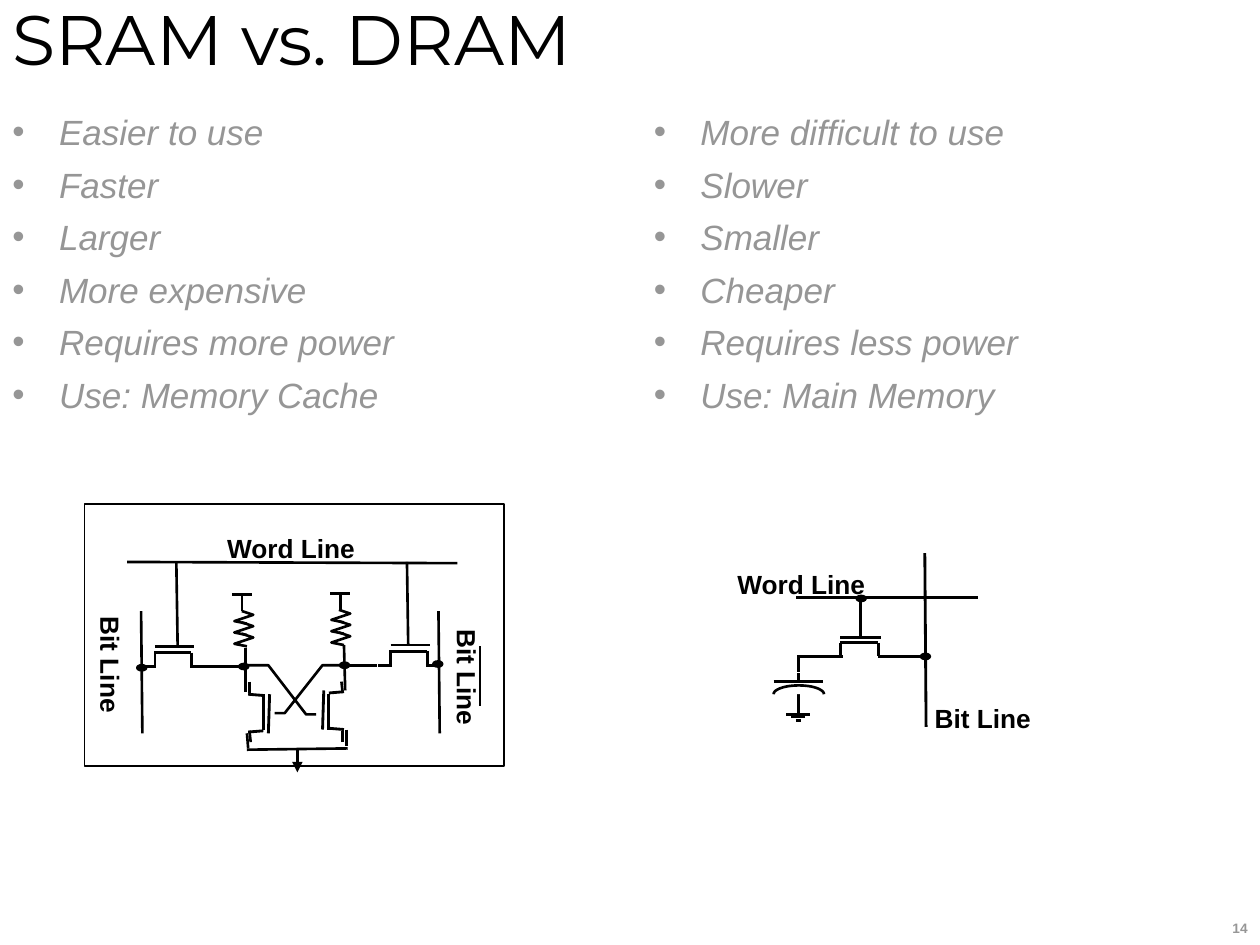
from dataclasses import dataclass
from math import cos, pi, sin

from lxml import etree
from pptx import Presentation
from pptx.dml.color import RGBColor
from pptx.enum.shapes import MSO_CONNECTOR, MSO_SHAPE
from pptx.enum.text import MSO_ANCHOR, MSO_AUTO_SIZE, PP_ALIGN
from pptx.oxml.ns import qn
from pptx.util import Cm, Pt

BLACK = RGBColor(0, 0, 0)
WHITE = RGBColor(255, 255, 255)
GRAY = RGBColor(0x96, 0x96, 0x96)
STRAIGHT = MSO_CONNECTOR.STRAIGHT
RECTANGLE, OVAL = MSO_SHAPE.RECTANGLE, MSO_SHAPE.OVAL
LEFT, CENTER, RIGHT = PP_ALIGN.LEFT, PP_ALIGN.CENTER, PP_ALIGN.RIGHT
TOP, MIDDLE = MSO_ANCHOR.TOP, MSO_ANCHOR.MIDDLE
GROW = MSO_AUTO_SIZE.SHAPE_TO_FIT_TEXT
THIN, WIRE, BAR = 0.75, 1.5, 1.62

Point = tuple[float, float]


@dataclass
class Style:
    size: float
    color: RGBColor
    font: str = "Arial"
    bold: bool = False
    italic: bool = False
    align: PP_ALIGN = LEFT


@dataclass
class Wire:
    x1: float
    y1: float
    x2: float
    y2: float
    width: float = WIRE

    def moved(self, dx: float, dy: float) -> "Wire":
        return Wire(self.x1 + dx, self.y1 + dy, self.x2 + dx, self.y2 + dy, self.width)

    def turned(self, cx: float, cy: float) -> "Wire":
        """Half turn about a centre."""
        return Wire(2 * cx - self.x1, 2 * cy - self.y1,
                    2 * cx - self.x2, 2 * cy - self.y2, self.width)


@dataclass
class Label:
    text: str
    x: float
    y: float
    width: float
    rotation: int = 0


TITLE = Style(40, BLACK, "Montserrat")
BULLET = Style(20, GRAY, italic=True)
LABEL = Style(15, BLACK, bold=True, align=CENTER)
NUMBER = Style(7.8, GRAY, bold=True, align=RIGHT)

LISTS = {
    0: ["Easier to use", "Faster", "Larger", "More expensive",
        "Requires more power", "Use: Memory Cache"],
    5.09: ["More difficult to use", "Slower", "Smaller", "Cheaper",
           "Requires less power", "Use: Main Memory"],
}

# Parts of the SRAM cell, in inches on the page
ACCESS_GATE = [
    Wire(1.23, 5.3, 1.23, 5.17, BAR), Wire(1.23, 5.18, 1.52, 5.18, BAR),
    Wire(1.52, 5.18, 1.52, 5.3, BAR), Wire(1.23, 5.13, 1.54, 5.13, BAR),
    Wire(1.13, 5.29, 1.23, 5.29), Wire(1.51, 5.29, 1.61, 5.29),
    Wire(1.4, 4.47, 1.41, 5.13),
]
STORAGE_GATE = [
    Wire(1.97, 5.51, 2.09, 5.52, BAR), Wire(2.09, 5.51, 2.09, 5.79, BAR),
    Wire(2.09, 5.8, 1.97, 5.81, BAR), Wire(2.14, 5.51, 2.13, 5.82, BAR),
    Wire(1.98, 5.41, 1.98, 5.5), Wire(1.98, 5.8, 1.99, 5.89),
]
SUPPLY = [Wire(1.92, 4.73, 1.92, 4.85), Wire(1.84, 4.72, 2, 4.72)]
ZIGZAG = [(1.92, 4.85), (2.01, 4.88), (1.86, 4.93), (1.96, 4.95)]
SRAM_WIRES = [
    Wire(1.95, 5.49, 1.95, 5.14), Wire(2.74, 5.48, 2.73, 5.12),
    Wire(1.57, 5.29, 1.95, 5.29), Wire(2.74, 5.28, 2.99, 5.28),
    Wire(1.96, 5.82, 1.97, 5.94), Wire(2.75, 5.79, 2.75, 5.92),
    Wire(1.96, 5.95, 2.76, 5.94), Wire(1.12, 4.85, 1.13, 5.82),
    Wire(3.48, 4.85, 3.49, 5.82), Wire(1.01, 4.46, 3.63, 4.47),
    Wire(3.81, 5.13, 3.81, 5.6),
]
CROSSINGS = [
    [(2.18, 5.66), (2.26, 5.66), (2.56, 5.28), (2.74, 5.28)],
    [(2.51, 5.67), (2.43, 5.67), (2.13, 5.28), (1.94, 5.28)],
]
SRAM_DOTS = [(1.09, 5.28), (1.9, 5.27), (2.7, 5.26), (3.44, 5.25)]
SRAM_LABELS = [Label("Word Line", 1.79, 4.25, 1.04),
               Label("Bit Line", 3.29, 5.26, 0.8, 90),
               Label("Bit Line", 0.46, 5.16, 0.8, 90)]

# Parts of the DRAM cell
DRAM_WIRES = [
    Wire(6.34, 5.21, 6.69, 5.21, BAR), Wire(6.67, 5.21, 6.67, 5.1, BAR),
    Wire(6.67, 5.1, 6.97, 5.1, BAR), Wire(6.97, 5.1, 6.97, 5.21, BAR),
    Wire(6.97, 5.21, 7.34, 5.21, BAR), Wire(6.67, 5.06, 6.99, 5.06, BAR),
    Wire(6.83, 5.06, 6.83, 4.75, BAR), Wire(6.32, 4.74, 7.76, 4.74, BAR),
    Wire(7.34, 4.39, 7.35, 5.77, BAR), Wire(6.14, 5.41, 6.53, 5.41, BAR),
    Wire(6.34, 5.2, 6.34, 5.33, BAR), Wire(6.34, 5.34, 6.34, 5.41, BAR),
    Wire(6.34, 5.53, 6.34, 5.67, BAR), Wire(6.24, 5.67, 6.43, 5.67, BAR),
    Wire(6.28, 5.69, 6.39, 5.69, BAR), Wire(6.32, 5.72, 6.36, 5.72, BAR),
]
PLATE = [(6.34 - 0.2 * cos(pi * i / 24), 5.51 - 0.07 * sin(pi * i / 24))
         for i in range(25)]
DRAM_DOTS = [(7.31, 5.19), (6.8, 4.73)]
DRAM_LABELS = [Label("Word Line", 5.84, 4.54, 1.04), Label("Bit Line", 7.4, 5.6, 0.8)]


def length(inches: float) -> Cm:
    return Cm(inches * 2.54)


def write(paragraph, text: str, style: Style) -> None:
    paragraph.alignment = style.align
    span = paragraph.add_run()
    span.text = text
    span.font.name, span.font.size = style.font, Pt(style.size)
    span.font.bold, span.font.italic = style.bold, style.italic
    span.font.color.rgb = style.color


def add_box(shapes, x: float, y: float, width: float, height: float,
            anchor=TOP, inset: Point = (0.1, 0.05), wrap: bool = True):
    box = shapes.add_textbox(*map(length, (x, y, width, height)))
    frame = box.text_frame
    frame.word_wrap, frame.vertical_anchor = wrap, anchor
    frame.margin_left = frame.margin_right = length(inset[0])
    frame.margin_top = frame.margin_bottom = length(inset[1])
    return box


def add_bullets(shapes, x: float, items: list[str]) -> None:
    frame = add_box(shapes, x, 0.83, 4.91, 5.77).text_frame
    for index, item in enumerate(items):
        paragraph = frame.add_paragraph() if index else frame.paragraphs[0]
        properties = paragraph._p.get_or_add_pPr()
        properties.set("marL", str(length(0.37)))
        properties.set("indent", str(-length(0.37)))
        etree.SubElement(properties, qn("a:buFont")).set("typeface", "Arial")
        etree.SubElement(properties, qn("a:buChar")).set("char", "•")
        if index:
            paragraph.space_before = Pt(6)
        write(paragraph, item, BULLET)


def add_label(shapes, label: Label) -> None:
    box = add_box(shapes, label.x, label.y, label.width, 0.23, inset=(0, 0), wrap=False)
    box.text_frame.auto_size = GROW
    box.rotation = label.rotation
    paragraph = box.text_frame.paragraphs[0]
    paragraph.line_spacing = 0.9
    write(paragraph, label.text, LABEL)


def add_wire(shapes, wire: Wire, arrow: bool = False) -> None:
    line = shapes.add_connector(STRAIGHT, *map(length, (wire.x1, wire.y1, wire.x2, wire.y2)))
    line.line.color.rgb, line.line.width = BLACK, Pt(wire.width)
    if arrow:
        etree.SubElement(line.line._get_or_add_ln(), qn("a:tailEnd")).set("type", "triangle")
    etree.SubElement(line._element.spPr, qn("a:effectLst"))


def paint(shape, fill: RGBColor | None, width: float) -> None:
    shape.shadow.inherit = False
    if fill is None:
        shape.fill.background()
    else:
        shape.fill.solid()
        shape.fill.fore_color.rgb = fill
    shape.line.color.rgb, shape.line.width = BLACK, Pt(width)


def add_path(shapes, points: list[Point], fill: RGBColor | None = None) -> None:
    start, *rest = [(length(x), length(y)) for x, y in points]
    builder = shapes.build_freeform(*start)
    builder.add_line_segments(rest, close=False)
    paint(builder.convert_to_shape(), fill, WIRE)


def add_cell(shapes, wires: list[Wire], dots: list[Point], labels: list[Label]) -> None:
    for wire in wires:
        add_wire(shapes, wire)
    for x, y in dots:
        paint(shapes.add_shape(OVAL, *map(length, (x, y, 0.07, 0.04))), BLACK, WIRE)
    for label in labels:
        add_label(shapes, label)


def main() -> None:
    deck = Presentation()
    deck.slide_width, deck.slide_height = Cm(25.4), Cm(19.05)
    page = deck.slides.add_slide(deck.slide_layouts[6])
    shapes = page.shapes

    # Title and the two lists
    title = add_box(shapes, 0, -0.09, 10, 0.77, MIDDLE)
    write(title.text_frame.paragraphs[0], "SRAM vs. DRAM", TITLE)
    for x, items in LISTS.items():
        add_bullets(shapes, x, items)

    # SRAM cell: mirrored gates and two load resistors
    paint(shapes.add_shape(RECTANGLE, *map(length, (0.67, 4, 3.33, 2.08))), WHITE, THIN)
    sram = shapes.add_group_shape().shapes
    wires = ACCESS_GATE + [wire.moved(1.87, -0.01) for wire in ACCESS_GATE[:-1]]
    wires += [ACCESS_GATE[-1].moved(1.83, -0.01)]
    wires += STORAGE_GATE + [wire.turned(2.35, 5.65) for wire in STORAGE_GATE]
    wires += SUPPLY + [wire.moved(0.78, -0.01) for wire in SUPPLY]
    for dx, dy in ((0, 0), (0.77, -0.01)):
        for turn in range(3):
            add_path(sram, [(x + dx, y + dy + 0.09 * turn) for x, y in ZIGZAG])
    for points in CROSSINGS:
        add_path(sram, points)
    add_cell(sram, wires + SRAM_WIRES, SRAM_DOTS, SRAM_LABELS)
    add_wire(sram, Wire(2.36, 5.95, 2.36, 6.13), arrow=True)

    # DRAM cell: one gate and a capacitor
    dram = shapes.add_group_shape().shapes
    add_wire(dram, Wire(6.34, 5.45, 6.34, 5.55, BAR))
    add_path(dram, PLATE, WHITE)
    add_cell(dram, DRAM_WIRES, DRAM_DOTS, DRAM_LABELS)

    # Page number
    number = add_box(shapes, 7.92, 7.25, 2.08, 0.25)
    write(number.text_frame.paragraphs[0], "14", NUMBER)
    deck.save("out.pptx")


if __name__ == "__main__":
    main()
